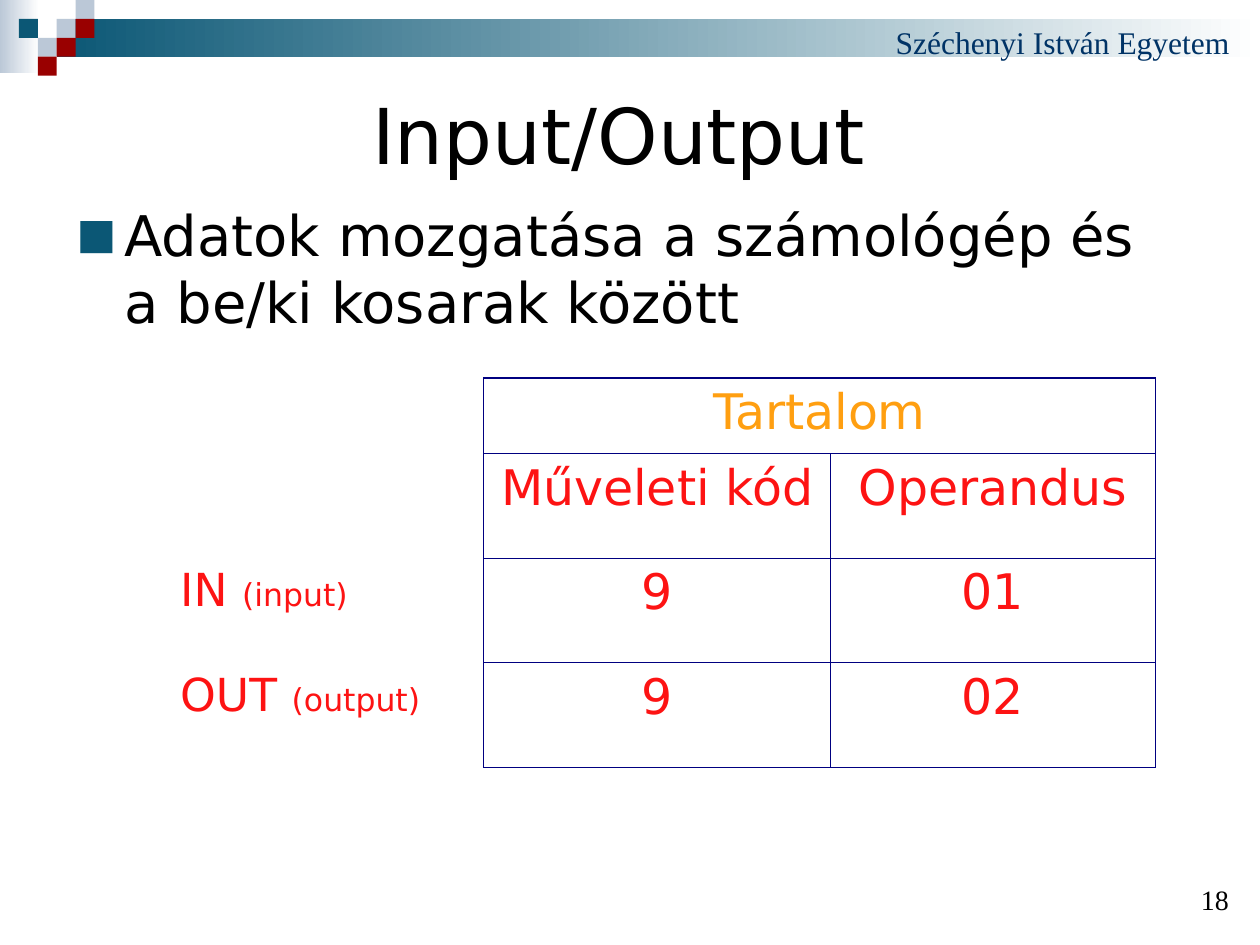
from dataclasses import dataclass
from lxml.etree import SubElement as Sub
from pptx import Presentation
from pptx.dml.color import RGBColor as RGB
from pptx.enum.shapes import MSO_SHAPE as Shape
from pptx.enum.text import MSO_ANCHOR as Anchor, PP_ALIGN as Align
from pptx.oxml.ns import qn
from pptx.util import Inches, Pt


@dataclass(frozen=True)
class Theme:
    sans: str = "DejaVu Sans"
    serif: str = "Times New Roman"
    black: str = "000000"
    white: str = "FFFFFF"
    teal: str = "0B5775"
    mist: str = "BBC8D7"
    wine: str = "990000"
    ink: str = "003366"
    navy: str = "000080"
    gold: str = "FF9F11"
    red: str = "FD1313"
    title: int = 44
    body: int = 32
    cell: int = 28
    label: int = 26
    small: int = 18
    page: int = 16
    rule: float = 0.75
    faint: float = 0.45


T = Theme()


def add_run(para, text, size, color, font=T.sans):
    run = para.add_run()
    run.text = text
    run.font.size = Pt(size)
    run.font.name = font
    run.font.color.rgb = RGB.from_string(color)


def add_text(slide, box, anchor=Anchor.TOP, align=Align.LEFT):
    frame = slide.shapes.add_textbox(*map(Inches, box)).text_frame
    frame.word_wrap = True
    frame.vertical_anchor = anchor
    para = frame.paragraphs[0]
    para.alignment = align
    return para


def add_rect(slide, box, color, fade=False):
    rect = slide.shapes.add_shape(Shape.RECTANGLE, *map(Inches, box))
    rect.shadow.inherit = False
    rect.line.fill.background()
    if fade:
        rect.fill.gradient()
        rect.fill.gradient_angle = 180
        for stop, tone in zip(rect.fill.gradient_stops, (T.white, color)):
            stop.color.rgb = RGB.from_string(tone)
    else:
        rect.fill.solid()
        rect.fill.fore_color.rgb = RGB.from_string(color)


def add_banner(slide, box):
    left, top, width, height = box
    unit = height / 4
    add_rect(slide, (left, top, 0.31, 0.58), T.mist, True)
    add_rect(slide, (left + 3 * unit, top + unit, width - 3 * unit, 2 * unit), T.teal, True)
    tiles = [(3, 1, T.mist), (4, 0, T.mist), (4, 1, T.wine), (2, 2, T.mist),
             (1, 1, T.teal), (3, 2, T.wine), (2, 3, T.wine)]
    for col, row, color in tiles:
        add_rect(slide, (left + col * unit, top + row * unit, unit, unit), color)
    para = add_text(slide, (left + 7.01, top + 0.13, 2.99, 0.4))
    add_run(para, "Széchenyi István Egyetem", T.small, T.ink, T.serif)


def add_title(slide, box):
    para = add_text(slide, box, Anchor.MIDDLE, Align.CENTER)
    add_run(para, "Input/Output ", T.title, T.black)


def add_body(slide, box):
    para = add_text(slide, box)
    props = para._p.get_or_add_pPr()
    props.set("marL", str(Inches(0.38)))
    props.set("indent", str(-Inches(0.38)))
    Sub(Sub(props, qn("a:buClr")), qn("a:srgbClr"), val=T.teal)
    Sub(props, qn("a:buSzPct"), val="75000")
    Sub(props, qn("a:buFont"), typeface=T.sans)
    Sub(props, qn("a:buChar"), char="■")
    add_run(para, "Adatok mozgatása a számológép és a be/ki kosarak között", T.body, T.black)


def set_edges(cell, col):
    props = cell._tc.get_or_add_tcPr()
    for side in "LRTB":
        shown = col > 1 or (col == 1 and side == "R")
        color, width = (T.navy, T.rule) if shown else (T.white, T.faint)
        line = Sub(props, qn("a:ln" + side), w=str(Pt(width)))
        Sub(Sub(line, qn("a:solidFill")), qn("a:srgbClr"), val=color)
    cell.fill.background()


def add_grid(slide, box):
    rows = [(None, "Tartalom", None), (None, "Műveleti kód", "Operandus"),
            (("IN ", "(input)"), "9", "01"), (("OUT ", "(output)"), "9", "02")]
    table = slide.shapes.add_table(len(rows), 4, *map(Inches, box)).table
    table.first_row = table.horz_banding = False
    for col, width in zip(table.columns, (2.27, 0.24, 2.75, 2.58)):
        col.width = Inches(width)
    for row, height in zip(table.rows, (0.6, 0.83, 0.83, 0.83)):
        row.height = Inches(height)
    for r, (label, *values) in enumerate(rows):
        for c in range(4):
            set_edges(table.cell(r, c), c)
        if label:
            para = table.cell(r, 0).text_frame.paragraphs[0]
            for text, size in zip(label, (T.label, T.small)):
                add_run(para, text, size, T.red)
        for c, text in enumerate(values, 2):
            if text:
                para = table.cell(r, c).text_frame.paragraphs[0]
                para.alignment = Align.CENTER
                add_run(para, text, T.cell, T.red if r else T.gold)
    table.cell(0, 2).merge(table.cell(0, 3))


def add_page(slide, box):
    para = add_text(slide, box, Anchor.BOTTOM, Align.RIGHT)
    add_run(para, "18", T.page, T.black, T.serif)


def main():
    deck = Presentation()
    deck.slide_width, deck.slide_height = Inches(10), Inches(7.5)
    slide = deck.slides.add_slide(deck.slide_layouts[6])
    add_banner(slide, (0, 0, 10, 0.6))
    add_title(slide, (0.51, 0.68, 9, 0.77))
    add_body(slide, (0.51, 1.54, 8.99, 4.87))
    add_grid(slide, (1.33, 3, 7.84, 3.09))
    add_page(slide, (8.7, 6.98, 1.15, 0.34))
    deck.save("out.pptx")


if __name__ == "__main__":
    main()
